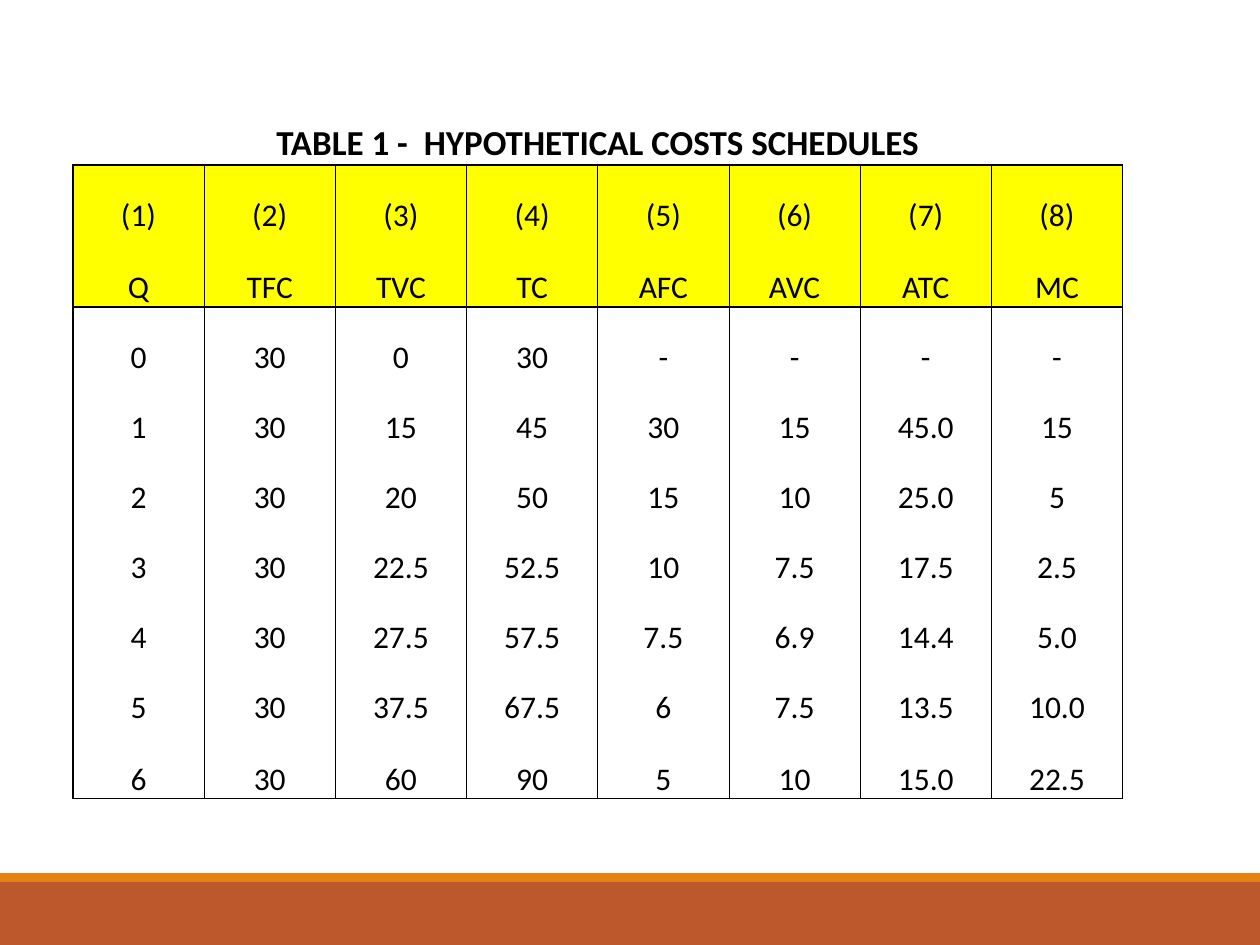
from lxml import etree
from pptx import Presentation
from pptx.dml.color import RGBColor
from pptx.enum.shapes import MSO_SHAPE
from pptx.enum.text import MSO_ANCHOR, PP_ALIGN
from pptx.oxml.ns import qn
from pptx.util import Cm, Pt

RECTANGLE = MSO_SHAPE.RECTANGLE
BOTTOM = MSO_ANCHOR.BOTTOM
CENTER = PP_ALIGN.CENTER

THIN, THICK = 0.5, 1
BLACK, YELLOW, ORANGE, RUST = "000000", "FFFF00", "E48312", "BD582C"

TITLE = "TABLE 1 -  HYPOTHETICAL COSTS SCHEDULES"
SCHEDULE = [
    ["(1)", "(2)", "(3)", "(4)", "(5)", "(6)", "(7)", "(8)"],
    ["Q", "TFC", "TVC", "TC", "AFC", "AVC", "ATC", "MC"],
    ["0", "30", "0", "30", "-", "-", "-", "-"],
    ["1", "30", "15", "45", "30", "15", "45.0", "15"],
    ["2", "30", "20", "50", "15", "10", "25.0", "5"],
    ["3", "30", "22.5", "52.5", "10", "7.5", "17.5", "2.5"],
    ["4", "30", "27.5", "57.5", "7.5", "6.9", "14.4", "5.0"],
    ["5", "30", "37.5", "67.5", "6", "7.5", "13.5", "10.0"],
    ["6", "30", "60", "90", "5", "10", "15.0", "22.5"],
]
ROW_HEIGHTS = [1.63, 1.41, 1.45] + [1.41] * 6 + [1.45]
HEADER_ROWS = (1, 2)


def color(hex_code):
    return RGBColor.from_string(hex_code)


def write_text(frame, text, size=18, bold=False, font="Calibri", hex_code=BLACK):
    paragraph = frame.paragraphs[0]
    paragraph.alignment = CENTER
    run = paragraph.add_run()
    run.text = text
    run.font.size = Pt(size)
    run.font.bold = bold
    run.font.name = font
    run.font.color.rgb = color(hex_code)


def set_borders(cell, left=0, right=0, top=0, bottom=0):
    """Draw each side at its width in points; 0 means no line."""
    properties = cell._tc.get_or_add_tcPr()
    for side, width in (("L", left), ("R", right), ("T", top), ("B", bottom)):
        line = etree.SubElement(properties, qn(f"a:ln{side}"), w=str(Pt(width)))
        if width:
            fill = etree.SubElement(line, qn("a:solidFill"))
            etree.SubElement(fill, qn("a:srgbClr"), val=BLACK)
        else:
            etree.SubElement(line, qn("a:noFill"))


def format_cell(cell, fill=None, **borders):
    cell.margin_left = cell.margin_right = cell.margin_top = Cm(0.02)
    cell.margin_bottom = 0
    cell.vertical_anchor = BOTTOM
    set_borders(cell, **borders)
    if fill:
        cell.fill.solid()
        cell.fill.fore_color.rgb = color(fill)
    else:
        cell.fill.background()


def add_footer(slide, left, top, width, height):
    # Thin accent strip above the main band
    strip = 0.18
    bands = [(strip, height - strip, RUST), (0, strip, ORANGE)]
    for offset, band_height, fill in bands:
        band = slide.shapes.add_shape(
            RECTANGLE, Cm(left), Cm(top + offset), Cm(width), Cm(band_height))
        band.shadow.inherit = False
        band.fill.solid()
        band.fill.fore_color.rgb = color(fill)
        band.line.fill.background()


def add_cost_table(slide, left, top, width, height):
    last_row, last_column = len(SCHEDULE), len(SCHEDULE[0]) - 1
    table = slide.shapes.add_table(
        last_row + 1, last_column + 1, Cm(left), Cm(top), Cm(width), Cm(height)).table
    table.first_row = table.horz_banding = False
    for column in table.columns:
        column.width = Cm(width / (last_column + 1))
    for row, row_height in zip(table.rows, ROW_HEIGHTS):
        row.height = Cm(row_height)

    # Title row across all columns
    for cell in table.rows[0].cells:
        format_cell(cell, bottom=THICK)
    title = table.cell(0, 0)
    title.merge(table.cell(0, last_column))
    write_text(title.text_frame, TITLE, size=20, bold=True)

    # Header and cost rows: thick frame, thin column rules
    for r, values in enumerate(SCHEDULE, start=1):
        for c, value in enumerate(values):
            cell = table.cell(r, c)
            format_cell(
                cell,
                fill=YELLOW if r in HEADER_ROWS else None,
                left=THICK if c == 0 else THIN,
                right=THICK if c == last_column else THIN,
                top=THICK if r in (1, HEADER_ROWS[-1] + 1) else 0,
                bottom=THICK if r in (HEADER_ROWS[-1], last_row) else 0,
            )
            write_text(cell.text_frame, value)


def main():
    presentation = Presentation()
    presentation.slide_width, presentation.slide_height = Cm(25.4), Cm(19.05)
    slide = presentation.slides.add_slide(presentation.slide_layouts[6])
    add_footer(slide, 0, 17.6, 25.4, 1.45)
    add_cost_table(slide, 1.47, 1.7, 21.16, sum(ROW_HEIGHTS))
    presentation.save("out.pptx")


if __name__ == "__main__":
    main()
